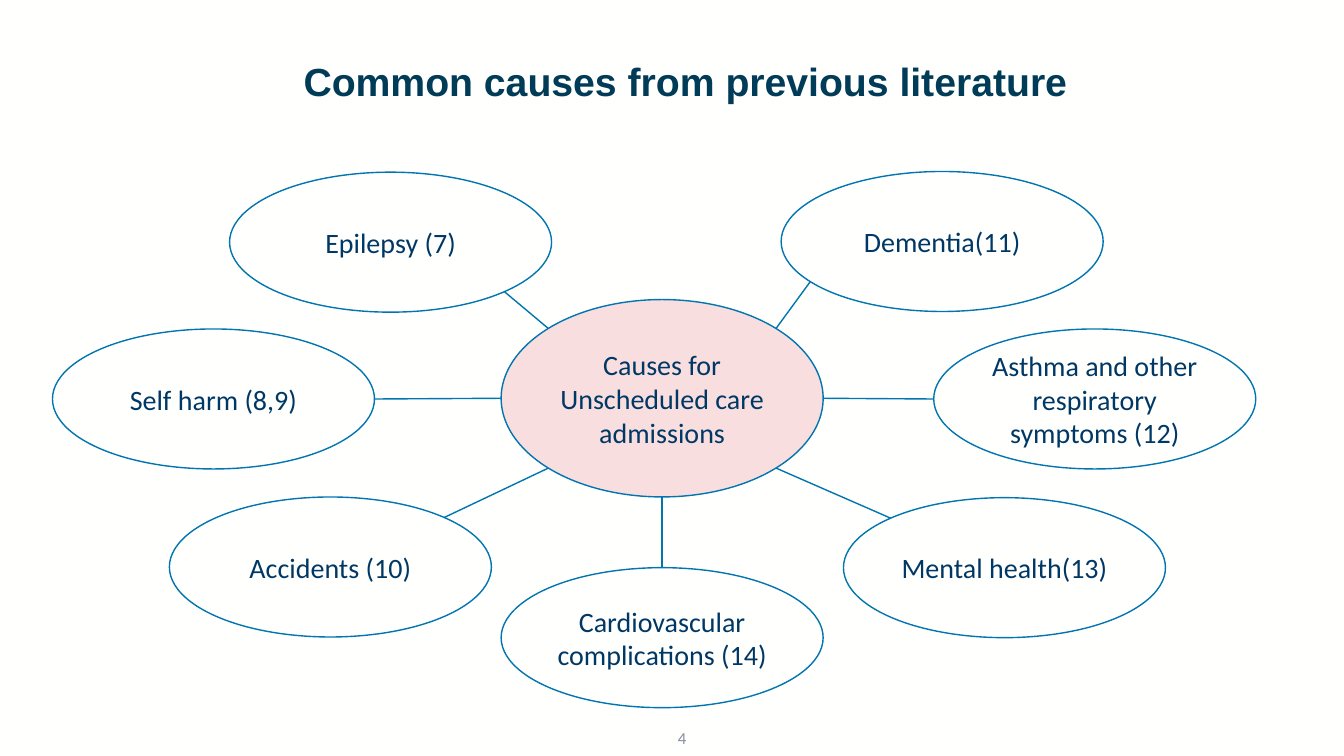
from dataclasses import dataclass
from math import cos, radians, sin

from lxml.etree import SubElement
from pptx import Presentation
from pptx.dml.color import RGBColor
from pptx.enum.shapes import MSO_CONNECTOR, MSO_SHAPE
from pptx.enum.text import MSO_ANCHOR, MSO_AUTO_SIZE, PP_ALIGN
from pptx.oxml.ns import qn
from pptx.util import Pt


@dataclass(frozen=True)
class Theme:
    """Colours, fonts and type sizes of the slide."""
    paper: str = "FFFFFE"
    title: str = "003B58"
    ink: str = "003865"
    line: str = "0075B0"
    hub: str = "CF1C20"
    page: str = "888E9E"
    alpha: int = 14
    head: str = "Arial"
    body: str = "Calibri"
    large: int = 28
    text: int = 20
    small: int = 12


THEME = Theme()
HUB = (358, 214, 230, 141)
NODE = (230, 100)
CAUSES = [
    ("Asthma and other respiratory symptoms (12)", 667, 235, 0, 180),
    ("Cardiovascular complications (14)", 358, 405.5, 90, 270),
    ("Epilepsy (7)", 164, 123, 225, 45),
    ("Self harm (8,9)", 37.5, 235, 180, 0),
    ("Accidents (10)", 121, 355, 135, 315),
    ("Dementia(11)", 558, 122.5, 315, 145),
    ("Mental health(13)", 602.5, 355.5, 45, 225),
]


def color(code):
    """Turn a hex code into a colour."""
    return RGBColor.from_string(code)


def write(shape, text, size, ink, font, align, anchor, bold=False):
    """Set one styled paragraph in a shape."""
    frame = shape.text_frame
    frame.word_wrap = True
    frame.vertical_anchor = anchor
    frame.margin_left = frame.margin_right = Pt(3.6)
    frame.margin_top = frame.margin_bottom = Pt(3.6)
    para = frame.paragraphs[0]
    para.text = text
    para.alignment = align
    para.font.size = Pt(size)
    para.font.name = font
    para.font.bold = bold
    para.font.color.rgb = color(ink)
    return frame


def oval(slide, box, text, fill):
    """Draw an outlined ellipse with centred text."""
    shape = slide.shapes.add_shape(MSO_SHAPE.OVAL, *map(Pt, box))
    shape.shadow.inherit = False
    shape.fill.solid()
    shape.fill.fore_color.rgb = color(fill)
    shape.line.color.rgb = color(THEME.line)
    shape.line.width = Pt(1)
    write(shape, text, THEME.text, THEME.ink, THEME.body,
          PP_ALIGN.CENTER, MSO_ANCHOR.MIDDLE)
    return shape


def rim(box, angle):
    """Find the point on an ellipse at a clockwise angle from the right."""
    left, top, width, height = box
    turn = radians(angle)
    return (Pt(left + width / 2 * (1 + cos(turn))),
            Pt(top + height / 2 * (1 + sin(turn))))


def link(slide, start, end):
    """Join two points with a straight line."""
    line = slide.shapes.add_connector(MSO_CONNECTOR.STRAIGHT, *start, *end)
    line.line.color.rgb = color(THEME.line)
    line.line.width = Pt(1)
    SubElement(line._element.spPr, qn("a:effectLst"))


def add_map(slide, hub):
    """Draw the hub and its causes around the given box."""
    shape = oval(slide, hub, "Causes for Unscheduled care admissions", THEME.hub)
    tint = shape._element.spPr.find(qn("a:solidFill"))[0]
    SubElement(tint, qn("a:alpha"), val=str(THEME.alpha * 1000))
    for text, left, top, out, back in CAUSES:
        box = (left, top, *NODE)
        oval(slide, box, text, THEME.paper)
        link(slide, rim(hub, out), rim(box, back))


def add_title(slide, box):
    """Place the title placeholder in the given box."""
    title = slide.shapes.title
    title.left, title.top, title.width, title.height = map(Pt, box)
    frame = write(title, "Common causes from previous literature", THEME.large,
                  THEME.title, THEME.head, PP_ALIGN.CENTER, MSO_ANCHOR.TOP, True)
    frame.paragraphs[0].line_spacing = 0.9


def add_page(slide, box):
    """Place the page number in the given box."""
    shape = slide.shapes.add_textbox(*map(Pt, box))
    frame = write(shape, "4", THEME.small, THEME.page, THEME.body,
                  PP_ALIGN.RIGHT, MSO_ANCHOR.MIDDLE)
    frame.word_wrap = False
    frame.auto_size = MSO_AUTO_SIZE.SHAPE_TO_FIT_TEXT


def main():
    """Build the slide and save it."""
    deck = Presentation()
    deck.slide_width, deck.slide_height = Pt(960), Pt(540)
    slide = deck.slides.add_slide(deck.slide_layouts[5])
    slide.background.fill.solid()
    slide.background.fill.fore_color.rgb = color(THEME.paper)
    add_title(slide, (127, 41, 725, 70))
    add_map(slide, HUB)
    add_page(slide, (480, 516, 14, 22))
    deck.save("out.pptx")


if __name__ == "__main__":
    main()
